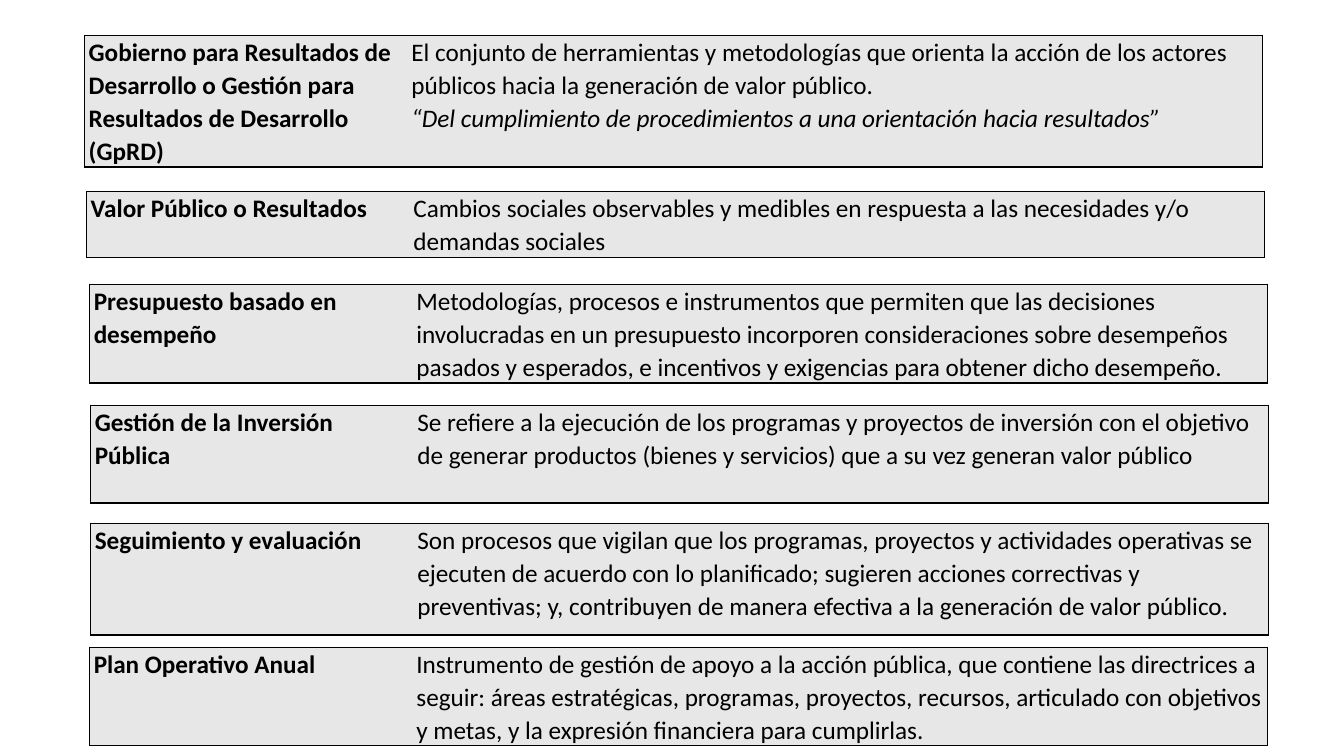
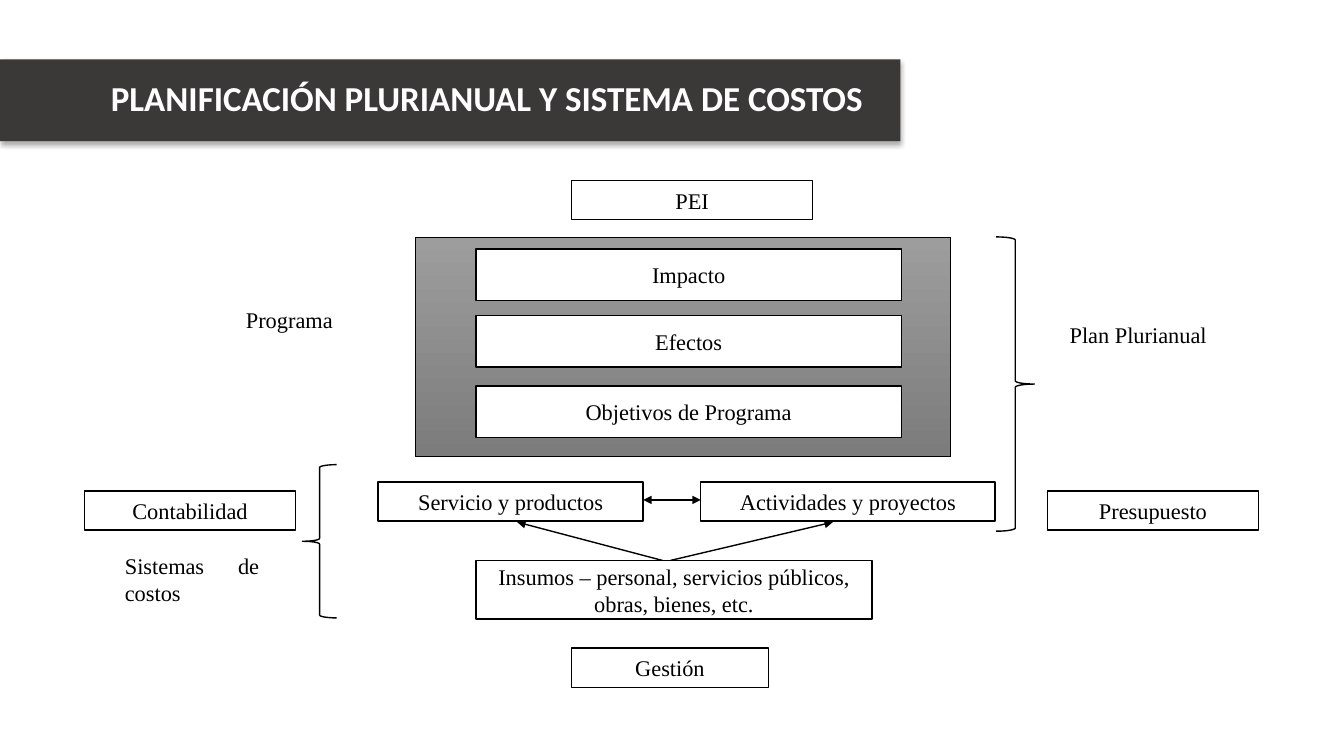
from lxml.etree import SubElement
from pptx import Presentation
from pptx.dml.color import RGBColor
from pptx.enum.shapes import MSO_CONNECTOR, MSO_SHAPE
from pptx.enum.text import MSO_ANCHOR, PP_ALIGN
from pptx.oxml.ns import qn
from pptx.util import Inches, Pt

BLACK, WHITE = "000000", "FFFFFF"
BAND, CELL = "3B3838", "E7E7E7"
GRADIENT = "9D9D9D", "7C7C7C"
HEAD_FONT, BODY_FONT = "Calibri", "Times New Roman"
TERM_W, MEANING_W = 3.2, 8.48

DEFINITIONS = [
    (0.84, 0.35, 1.28,
     "Gobierno para Resultados de Desarrollo o Gestión para Resultados de Desarrollo (GpRD)",
     "El conjunto de herramientas y metodologías que orienta la acción de los actores "
     "públicos hacia la generación de valor público.",
     "“Del cumplimiento de procedimientos a una orientación hacia resultados”"),
    (0.86, 1.9, 0.64, "Valor Público o Resultados",
     "Cambios sociales observables y medibles en respuesta a las necesidades y/o "
     "demandas sociales", None),
    (0.89, 2.82, 0.97, "Presupuesto basado en desempeño",
     "Metodologías, procesos e instrumentos que permiten que las decisiones involucradas "
     "en un presupuesto incorporen consideraciones sobre desempeños pasados y esperados, "
     "e incentivos y exigencias para obtener dicho desempeño.", None),
    (0.9, 4.02, 0.97, "Gestión de la Inversión Pública",
     "Se refiere a la ejecución de los programas y proyectos de inversión con el objetivo "
     "de generar productos (bienes y servicios) que a su vez generan valor público", None),
    (0.9, 5.19, 1.11, "Seguimiento y evaluación",
     "Son procesos que vigilan que los programas, proyectos y actividades operativas se "
     "ejecuten de acuerdo con lo planificado; sugieren acciones correctivas y preventivas; "
     "y, contribuyen de manera efectiva a la generación de valor público.", None),
    (0.89, 6.42, 0.97, "Plan Operativo Anual",
     "Instrumento de gestión de apoyo a la acción pública, que contiene las directrices a "
     "seguir: áreas estratégicas, programas, proyectos, recursos, articulado con objetivos "
     "y metas, y la expresión financiera para cumplirlas.", None),
]

BOXES = [
    ("PEI", 5.67, 1.79, 2.39, 0.39),
    ("Impacto", 4.72, 2.47, 4.22, 0.51),
    ("Efectos", 4.72, 3.13, 4.22, 0.51),
    ("Objetivos de Programa", 4.72, 3.83, 4.22, 0.51),
    ("Servicio y productos", 3.75, 4.78, 2.63, 0.39),
    ("Actividades y proyectos", 6.95, 4.78, 2.92, 0.39),
    ("Insumos – personal, servicios públicos, obras, bienes, etc.", 4.72, 5.56, 3.93, 0.58),
    ("Contabilidad", 0.84, 4.87, 2.09, 0.39),
    ("Presupuesto", 10.39, 4.87, 2.09, 0.39),
    ("Gestión", 5.67, 6.43, 1.95, 0.39),
]

LABELS = [
    ("Programa", 2.34, 2.99, 1.41, 0.54),
    ("Plan Plurianual", 10.51, 3.14, 1.98, 0.39),
    ("Sistemas de costos", 1.14, 5.43, 1.53, 0.77),
]

BRACES = [
    (MSO_SHAPE.RIGHT_BRACE, 9.88, 2.35, 0.38, 2.92),
    (MSO_SHAPE.LEFT_BRACE, 3, 4.61, 0.34, 1.52),
]

ARROWS = [
    (6.57, 5.56, 5.13, 5.18, ["tailEnd"]),
    (6.65, 5.56, 8.26, 5.18, ["tailEnd"]),
    (6.38, 4.96, 6.95, 4.96, ["headEnd", "tailEnd"]),
]


def rgb(value):
    """Return the colour for a hex string."""
    return RGBColor.from_string(value)


def add_text(tf, text, size=16, font=BODY_FONT, color=BLACK, bold=False, italic=False,
             align=PP_ALIGN.LEFT, spacing=None, after=None, new=False):
    """Write one formatted paragraph into a text frame."""
    p = tf.add_paragraph() if new else tf.paragraphs[0]
    p.alignment = align
    if spacing:
        p.line_spacing = spacing
    if after:
        p.space_after = Pt(after)
    r = p.add_run()
    r.text = text
    r.font.size, r.font.name = Pt(size), font
    r.font.bold, r.font.italic = bold, italic
    r.font.color.rgb = rgb(color)


def add_box(slide, x, y, w, h, kind=MSO_SHAPE.RECTANGLE, fill=WHITE, line=1):
    """Add a flat preset shape with an optional fill and outline."""
    sp = slide.shapes.add_shape(kind, Inches(x), Inches(y), Inches(w), Inches(h))
    sp.shadow.inherit = False
    if fill:
        sp.fill.solid()
        sp.fill.fore_color.rgb = rgb(fill)
    else:
        sp.fill.background()
    if line:
        sp.line.color.rgb = rgb(BLACK)
        sp.line.width = Pt(line)
    else:
        sp.line.fill.background()
    sp.text_frame.word_wrap = True
    return sp


def add_title(slide, text):
    """Add the dark title band with its soft shadow."""
    sp = add_box(slide, 0, 0.59, 8.93, 0.81, fill=BAND, line=None)
    effects = sp._element.spPr.find(qn("a:effectLst"))
    shadow = SubElement(effects, qn("a:outerShdw"), blurRad=str(Pt(3.5)),
                        dist=str(Pt(2.2)), dir="5400000", rotWithShape="0")
    color = SubElement(shadow, qn("a:srgbClr"), val=BLACK)
    SubElement(color, qn("a:alpha"), val="32000")
    tf = sp.text_frame
    tf.margin_left = Inches(1.1)
    tf.vertical_anchor = MSO_ANCHOR.MIDDLE
    add_text(tf, text, size=25, font=HEAD_FONT, color=WHITE, bold=True, spacing=0.9)


def add_panel(slide, x, y, w, h):
    """Add the gradient panel behind the programme levels."""
    sp = add_box(slide, x, y, w, h, line=0.5)
    sp.fill.gradient()
    sp.fill.gradient_angle = 270
    for stop, color in zip(sp.fill.gradient_stops, GRADIENT):
        stop.color.rgb = rgb(color)


def add_arrow(slide, x1, y1, x2, y2, ends):
    """Add a straight line with triangle heads at the given ends."""
    cx = slide.shapes.add_connector(MSO_CONNECTOR.STRAIGHT, Inches(x1), Inches(y1),
                                    Inches(x2), Inches(y2))
    cx.line.color.rgb = rgb(BLACK)
    cx.line.width = Pt(1)
    ln = cx.line._get_or_add_ln()
    for end in ends:
        SubElement(ln, qn(f"a:{end}"), type="triangle")
    SubElement(cx._element.spPr, qn("a:effectLst"))


def style_cell(cell, sides):
    """Fill a cell and draw its borders on the given sides."""
    tc_pr = cell._tc.get_or_add_tcPr()
    for side in "LRTB":
        ln = SubElement(tc_pr, qn(f"a:ln{side}"), w=str(Pt(1)))
        if side in sides:
            SubElement(SubElement(ln, qn("a:solidFill")), qn("a:srgbClr"), val=BLACK)
        else:
            SubElement(ln, qn("a:noFill"))
    cell.fill.solid()
    cell.fill.fore_color.rgb = rgb(CELL)
    cell.margin_left = cell.margin_right = Inches(0.04)
    cell.margin_top = cell.margin_bottom = 0


def add_definition(slide, x, y, h, term, meaning, quote):
    """Add a one-row table with a term and its meaning."""
    table = slide.shapes.add_table(1, 2, Inches(x), Inches(y),
                                   Inches(TERM_W + MEANING_W), Inches(h)).table
    table.first_row = table.horz_banding = False
    table.columns[0].width, table.columns[1].width = Inches(TERM_W), Inches(MEANING_W)
    left, right = table.cell(0, 0), table.cell(0, 1)
    style_cell(left, "LTB")
    style_cell(right, "RTB")
    style = dict(size=18, font=HEAD_FONT, spacing=1.07)
    add_text(left.text_frame, term, bold=True, **style)
    add_text(right.text_frame, meaning, **style)
    if quote:
        add_text(right.text_frame, quote, italic=True, new=True, **style)


def build_definitions(slide):
    """Build the slide of key terms."""
    for definition in DEFINITIONS:
        add_definition(slide, *definition)


def build_planning(slide):
    """Build the planning and cost system diagram."""
    add_title(slide, "PLANIFICACIÓN PLURIANUAL Y SISTEMA DE COSTOS")
    add_panel(slide, 4.12, 2.35, 5.31, 2.18)
    for text, *place in BOXES:
        tf = add_box(slide, *place).text_frame
        tf.vertical_anchor = MSO_ANCHOR.MIDDLE
        add_text(tf, text, align=PP_ALIGN.CENTER, after=12)
    for text, *place in LABELS:
        tf = add_box(slide, *place, line=None).text_frame
        tf.vertical_anchor = MSO_ANCHOR.TOP
        add_text(tf, text, align=PP_ALIGN.JUSTIFY, after=12)
    for kind, *place in BRACES:
        add_box(slide, *place, kind=kind, fill=None)
    for arrow in ARROWS:
        add_arrow(slide, *arrow)


def main():
    """Build and save the presentation."""
    prs = Presentation()
    prs.slide_width, prs.slide_height = Inches(13.33), Inches(7.5)
    for build in (build_definitions, build_planning):
        build(prs.slides.add_slide(prs.slide_layouts[6]))
    prs.save("out.pptx")


if __name__ == "__main__":
    main()
